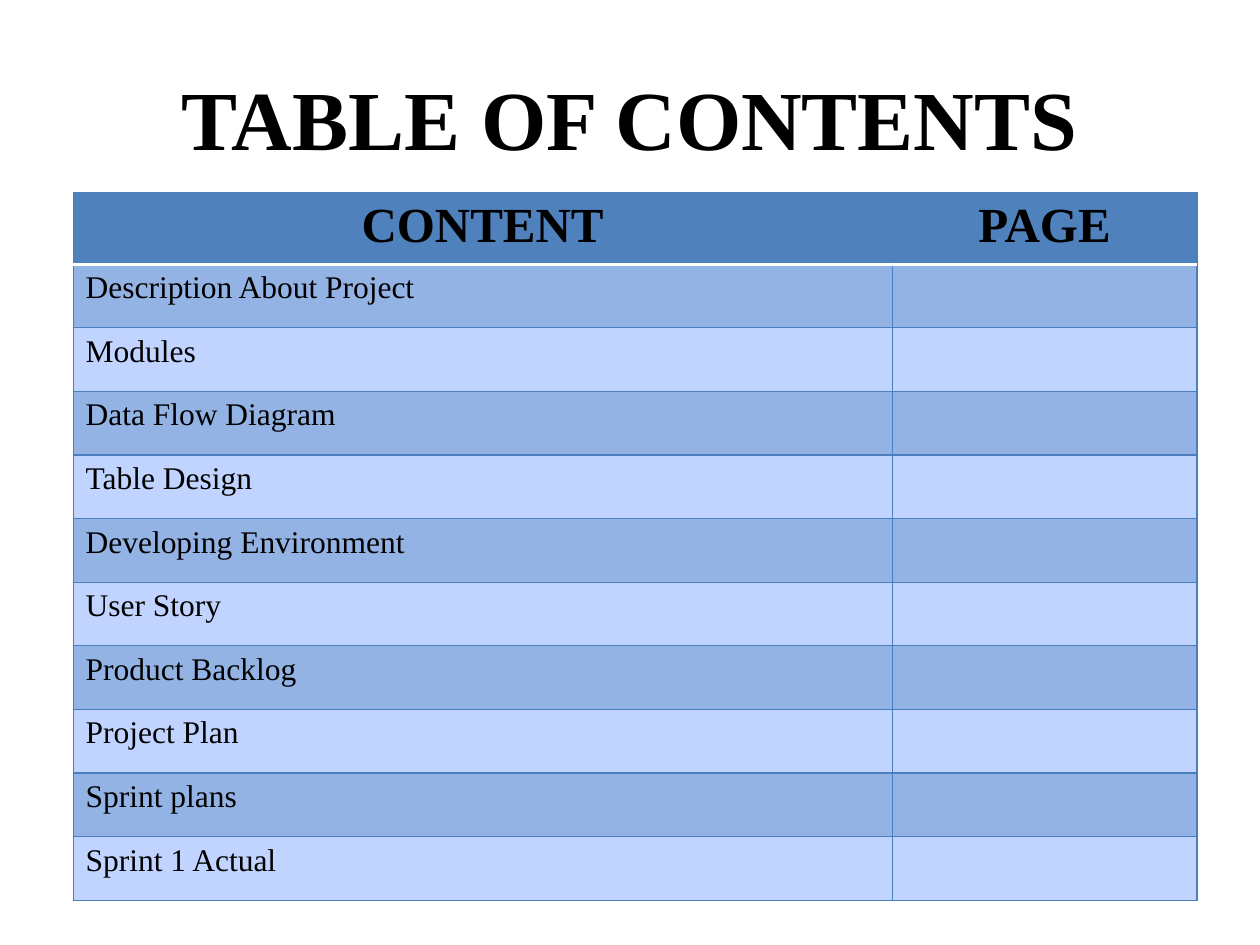
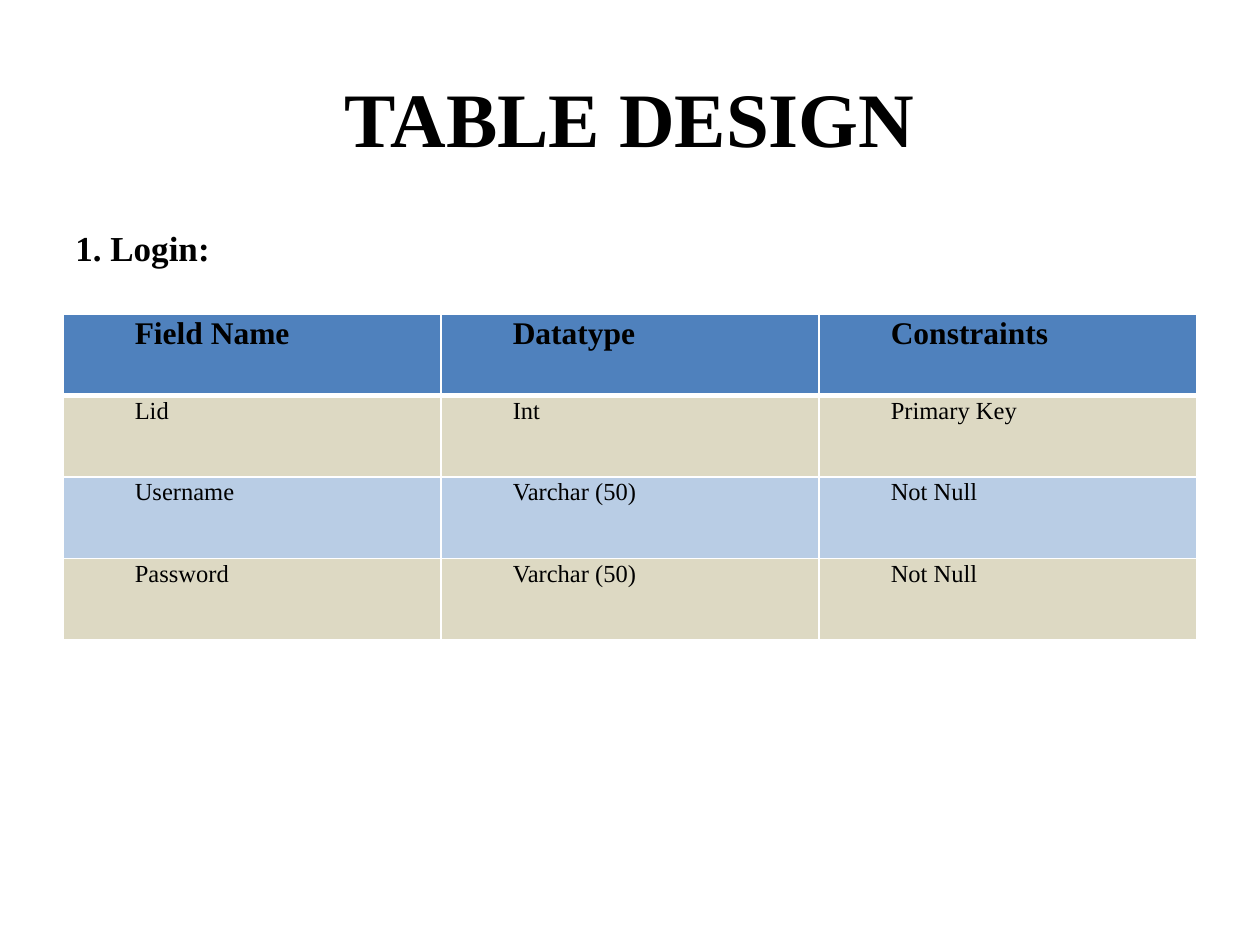
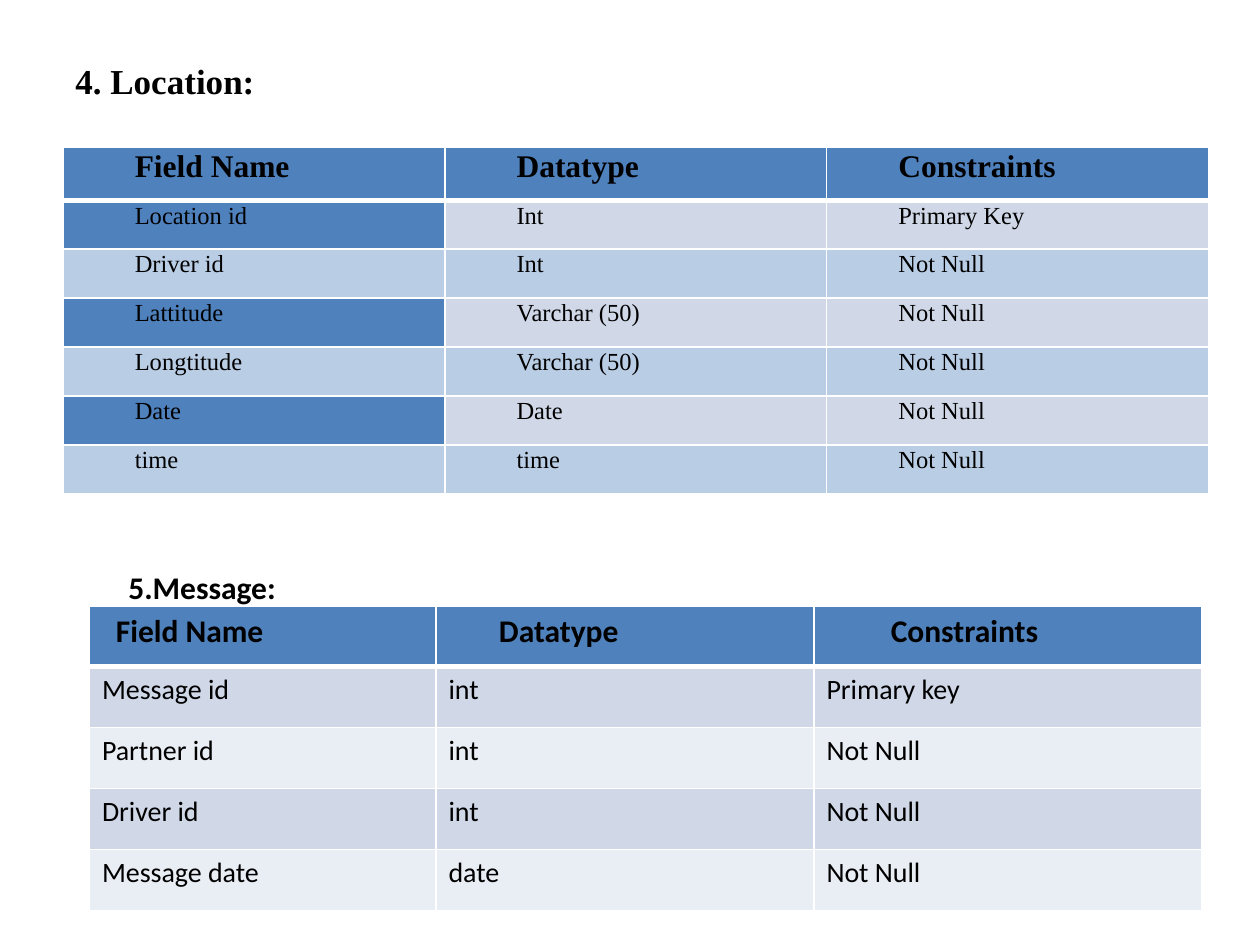
import dataclasses
import itertools

import lxml.etree
import pptx
import pptx.dml.color
import pptx.enum.text
import pptx.oxml.ns
import pptx.util

Inches = pptx.util.Inches
Pt = pptx.util.Pt
CENTER = pptx.enum.text.PP_ALIGN.CENTER
MIDDLE = pptx.enum.text.MSO_ANCHOR.MIDDLE


@dataclasses.dataclass(frozen=True)
class Theme:
    serif: str = "Times New Roman"
    sans: str = "Calibri"
    text: str = "000000"
    white: str = "FFFFFF"
    blue: str = "4F81BD"
    blue_line: str = "4B7EBC"
    contents_dark: str = "93B3E5"
    contents_light: str = "C0D4FF"
    sand: str = "DDD9C3"
    sky: str = "B9CDE5"
    mist: str = "D0D8E8"
    pale: str = "E9EDF4"
    contents_title: int = 48
    title: int = 44
    contents_header: int = 28
    heading: int = 20
    header: int = 18
    field: int = 14
    message: int = 16


THEME = Theme()

# Content
FIELD_HEADER = ("Field Name", "Datatype", "Constraints")
CONTENTS = [
    ("CONTENT", "PAGE"),
    ("Description About Project", ""),
    ("Modules", ""),
    ("Data Flow Diagram", ""),
    ("Table Design", ""),
    ("Developing Environment", ""),
    ("User Story", ""),
    ("Product Backlog", ""),
    ("Project Plan", ""),
    ("Sprint plans", ""),
    ("Sprint 1 Actual", ""),
]
LOGIN = [
    FIELD_HEADER,
    ("Lid", "Int", "Primary Key"),
    ("Username", "Varchar (50)", "Not Null"),
    ("Password", "Varchar (50)", "Not Null"),
]
LOCATION = [
    FIELD_HEADER,
    ("Location id", "Int", "Primary Key"),
    ("Driver id", "Int", "Not Null"),
    ("Lattitude", "Varchar (50)", "Not Null"),
    ("Longtitude", "Varchar (50)", "Not Null"),
    ("Date", "Date", "Not Null"),
    ("time", "time", "Not Null"),
]
MESSAGE = [
    FIELD_HEADER,
    ("Message id", "int", "Primary key"),
    ("Partner id", "int", "Not Null"),
    ("Driver id", "int", "Not Null"),
    ("Message date", "date", "Not Null"),
]


# Table looks: bands hold one fill per column and alternate down the body
@dataclasses.dataclass(frozen=True)
class TableStyle:
    bands: tuple
    header_size: int
    body_size: int
    font: str = THEME.serif
    line: tuple = (THEME.white, 1)
    header_rule: tuple = (THEME.white, 3)
    header_align: object = None
    margins: tuple = (0.1, 0.05)
    header_indents: tuple = (0, 0, 0)
    body_indent: float = 0
    line_spacing: float = 1.0


CONTENTS_STYLE = TableStyle(
    bands=((THEME.contents_dark,) * 2, (THEME.contents_light,) * 2),
    header_size=THEME.contents_header, body_size=THEME.header,
    line=(THEME.blue_line, 0.75), header_rule=(THEME.white, 2),
    header_align=CENTER)
LOGIN_STYLE = TableStyle(
    bands=((THEME.sand,) * 3, (THEME.sky,) * 3),
    header_size=THEME.header, body_size=THEME.field, margins=(0.07, 0),
    header_indents=(0.5,) * 3, body_indent=0.5, line_spacing=1.07)
LOCATION_STYLE = dataclasses.replace(
    LOGIN_STYLE,
    bands=((THEME.blue, THEME.mist, THEME.mist), (THEME.sky,) * 3))
MESSAGE_STYLE = TableStyle(
    bands=((THEME.mist,) * 3, (THEME.pale,) * 3),
    header_size=THEME.header, body_size=THEME.message, font=THEME.sans,
    header_indents=(0.11, 0.4, 0.51))


def rgb(color):
    return pptx.dml.color.RGBColor.from_string(color)


def add_run(paragraph, text, size, font, bold):
    run = paragraph.add_run()
    run.text = text
    run.font.size = Pt(size)
    run.font.name = font
    run.font.bold = bold
    run.font.color.rgb = rgb(THEME.text)


def add_text(slide, text, box, size, font=THEME.serif, wrap=True):
    shape = slide.shapes.add_textbox(*map(Inches, box))
    shape.text_frame.word_wrap = wrap
    add_run(shape.text_frame.paragraphs[0], text, size, font, True)
    return shape.text_frame


def add_title(slide, text, size):
    frame = add_text(slide, text, (0.5, 0.3, 9, 1.25), size)
    frame.vertical_anchor = MIDDLE
    frame.paragraphs[0].alignment = CENTER


def add_border(cell, side, line):
    color, width = line
    properties = cell._tc.get_or_add_tcPr()
    border = lxml.etree.SubElement(
        properties, pptx.oxml.ns.qn("a:ln" + side), w=str(Pt(width)))
    fill = lxml.etree.SubElement(border, pptx.oxml.ns.qn("a:solidFill"))
    lxml.etree.SubElement(fill, pptx.oxml.ns.qn("a:srgbClr"), val=color)


def fill_cell(cell, text, row, column, style, color):
    is_header = row == 0
    # Borders come before the fill in the cell properties
    add_border(cell, "L", style.line)
    add_border(cell, "R", style.line)
    add_border(cell, "T", style.header_rule if row == 1 else style.line)
    add_border(cell, "B", style.header_rule if is_header else style.line)
    cell.fill.solid()
    cell.fill.fore_color.rgb = rgb(color)

    side, edge = map(Inches, style.margins)
    cell.margin_left = cell.margin_right = side
    cell.margin_top = cell.margin_bottom = edge
    if not text:
        return
    paragraph = cell.text_frame.paragraphs[0]
    indent = style.header_indents[column] if is_header else style.body_indent
    if indent:
        paragraph._p.get_or_add_pPr().set("marL", str(Inches(indent)))
    paragraph.line_spacing = style.line_spacing
    if is_header:
        paragraph.alignment = style.header_align
    size = style.header_size if is_header else style.body_size
    add_run(paragraph, text, size, style.font, is_header)


def add_grid(slide, rows, left, top, widths, header_height, body_height, style):
    frame = slide.shapes.add_table(
        len(rows), len(widths), Inches(left), Inches(top),
        Inches(sum(widths)), Inches(header_height + body_height))
    table = frame.table
    table.first_row = table.horz_banding = False
    for column, width in zip(table.columns, widths):
        column.width = Inches(width)
    row_height = body_height / (len(rows) - 1)
    fills = itertools.chain([(THEME.blue,) * len(widths)],
                            itertools.cycle(style.bands))
    for row, (texts, colors) in enumerate(zip(rows, fills)):
        table.rows[row].height = Inches(row_height if row else header_height)
        for column, (text, color) in enumerate(zip(texts, colors)):
            fill_cell(table.cell(row, column), text, row, column, style, color)


def build_contents(slide):
    add_title(slide, "TABLE OF CONTENTS", THEME.contents_title)
    add_grid(slide, CONTENTS, 0.58, 1.53, (6.5, 2.42), 0.53, 5.05,
             CONTENTS_STYLE)


def build_login(slide):
    add_title(slide, "TABLE DESIGN", THEME.title)
    add_text(slide, "1. Login:", (0.5, 1.75, 9, 4.95), THEME.heading)
    add_grid(slide, LOGIN, 0.5, 2.49, (3, 3, 3), 0.65, 1.94, LOGIN_STYLE)


def build_location_and_message(slide):
    add_text(slide, "4. Location:", (0.5, 0.42, 9, 6.28), THEME.heading)
    add_grid(slide, LOCATION, 0.5, 1.17, (3.03,) * 3, 0.42, 2.33,
             LOCATION_STYLE)
    add_text(slide, "5.Message:", (0.92, 4.46, 1.38, 0.4), THEME.header,
             THEME.sans, wrap=False)
    add_grid(slide, MESSAGE, 0.71, 4.81, (2.75, 3, 3.08), 0.48, 1.94,
             MESSAGE_STYLE)


def main():
    presentation = pptx.Presentation()
    presentation.slide_width = Inches(10)
    presentation.slide_height = Inches(7.5)
    blank = presentation.slide_layouts[6]
    for build in (build_contents, build_login, build_location_and_message):
        build(presentation.slides.add_slide(blank))
    presentation.save("out.pptx")


if __name__ == "__main__":
    main()
